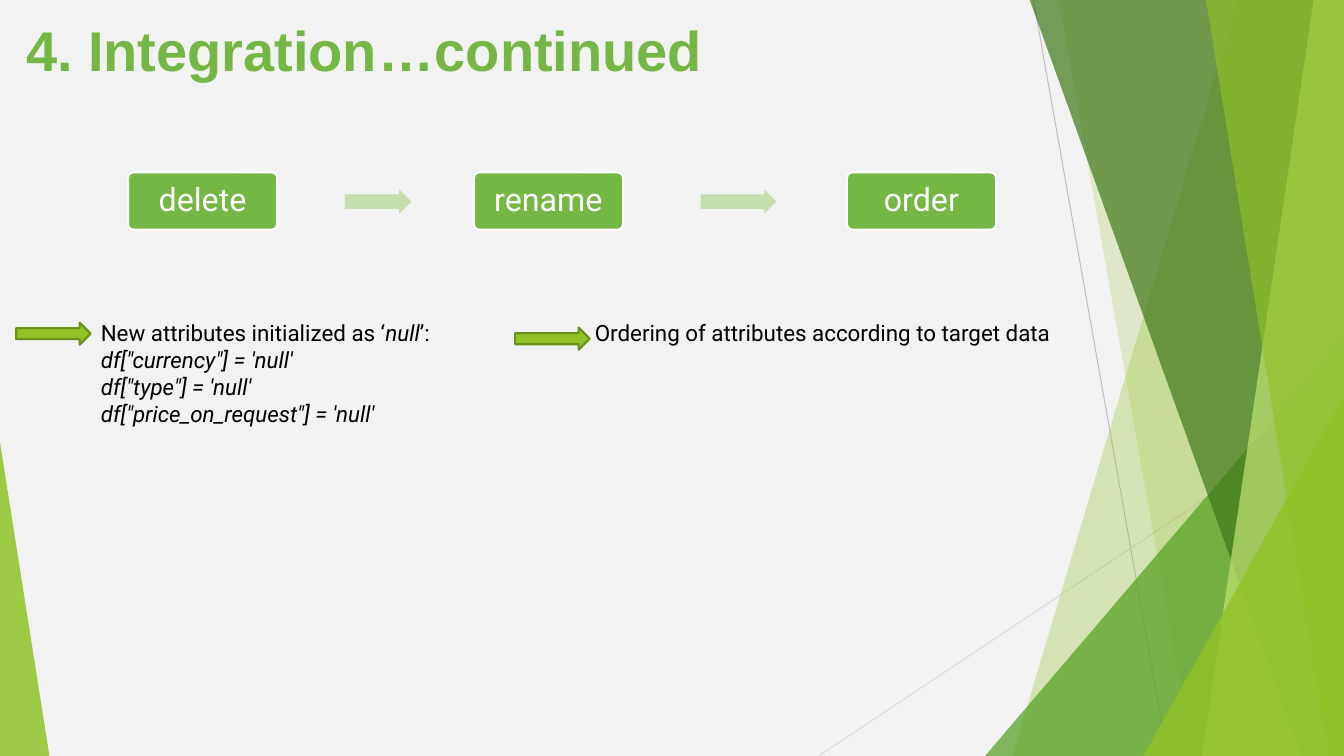
from lxml import etree
from pptx import Presentation
from pptx.dml.color import RGBColor
from pptx.enum.shapes import MSO_CONNECTOR, MSO_SHAPE
from pptx.enum.text import MSO_ANCHOR, PP_ALIGN
from pptx.oxml.ns import qn
from pptx.util import Inches, Pt

STRAIGHT = MSO_CONNECTOR.STRAIGHT
TRIANGLE = MSO_SHAPE.ISOSCELES_TRIANGLE
ROUNDED = MSO_SHAPE.ROUNDED_RECTANGLE
ARROW = MSO_SHAPE.RIGHT_ARROW
MIDDLE = MSO_ANCHOR.MIDDLE
CENTER = PP_ALIGN.CENTER

WIDTH, HEIGHT = 13.33, 7.5
LIME, LEAF = "90C226", "75B744"


def color(value):
    """Turn a hex string into a colour."""
    return RGBColor.from_string(value)


def paint(shape, fill, opacity=100, line=None):
    """Set fill, opacity in percent and an optional 1.5 pt outline."""
    shape.shadow.inherit = False
    shape.fill.solid()
    shape.fill.fore_color.rgb = color(fill)
    if opacity < 100:
        tint = shape.fill._xPr.find(qn("a:solidFill"))[0]
        etree.SubElement(tint, qn("a:alpha"), val=str(opacity * 1000))
    if line:
        shape.line.color.rgb = color(line)
        shape.line.width = Pt(1.5)
    else:
        shape.line.fill.background()


def add_preset(page, kind, box, adjustments=()):
    """Add a preset shape in a box given in inches."""
    shape = page.shapes.add_shape(kind, *map(Inches, box))
    for index, value in enumerate(adjustments):
        shape.adjustments[index] = value
    return shape


def style(para, size, font, fill, bold=False):
    """Format every run of a paragraph."""
    for span in para.runs:
        span.font.size = Pt(size)
        span.font.name = font
        span.font.color.rgb = color(fill)
        span.font.bold = bold


def add_hairline(page, start, end, stroke):
    """Draw a thin line between two points."""
    line = page.shapes.add_connector(STRAIGHT, *map(Inches, start + end))
    line.line.color.rgb = color(stroke)
    line.line.width = Pt(0.75)
    etree.SubElement(line._element.spPr, qn("a:effectLst"))


def add_band(page, top_x, bottom_x, fill, opacity):
    """Draw a slanted band that reaches the right edge of the slide."""
    top = -0.01
    corners = [(WIDTH, top), (WIDTH, HEIGHT), (bottom_x, HEIGHT)]
    builder = page.shapes.build_freeform(Inches(top_x), Inches(top), scale=1.0)
    builder.add_line_segments([tuple(map(Inches, corner)) for corner in corners])
    paint(builder.convert_to_shape(), fill, opacity)


def add_corner(page, width, height, apex, fill, opacity):
    """Draw a triangle in a bottom corner, left for apex 0 and right for 1."""
    box = (apex * (WIDTH - width), HEIGHT - height, width, height)
    paint(add_preset(page, TRIANGLE, box, [apex]), fill, opacity)


def add_facets(page):
    """Draw the decoration along the slide edges."""
    add_hairline(page, (10.25, 0), (11.58, HEIGHT), "BFBFBF")
    add_hairline(page, (WIDTH, 4.03), (8.12, HEIGHT), "D9D9D9")
    add_band(page, 12.28, 10.04, LIME, 30)
    add_band(page, 10.5, 11.83, LIME, 20)
    add_corner(page, 3.56, 4.17, 1, "54A021", 72)
    add_band(page, 10.21, 12.91, "3F7819", 70)
    add_band(page, 13.03, 11.92, "C0E474", 70)
    add_band(page, 11.96, 13.18, LIME, 65)
    add_corner(page, 1.99, 3.57, 1, LIME, 80)
    add_corner(page, 0.49, 3.11, 0, LIME, 85)


def add_title(page, box, text):
    """Write the slide title."""
    frame = page.shapes.add_textbox(*map(Inches, box)).text_frame
    frame.word_wrap = True
    frame.text = text
    style(frame.paragraphs[0], 40, "Arial", LEAF, bold=True)


def add_step(page, box, label):
    """Draw one labelled step of the process."""
    step = add_preset(page, ROUNDED, box, [0.1])
    paint(step, LEAF, line="FFFFFF")
    frame = step.text_frame
    frame.vertical_anchor = MIDDLE
    frame.text = label
    para = frame.paragraphs[0]
    para.alignment = CENTER
    para.line_spacing = 0.9
    style(para, 23, "Roboto", "FFFFFF")


def add_process(page, top):
    """Draw the three steps and the arrows between them."""
    for left, label in ((1.27, "delete"), (4.7, "rename"), (8.4, "order")):
        add_step(page, (left, top, 1.48, 0.57), label)
    for left, width in ((3.42, 0.66), (6.95, 0.75)):
        arrow = add_preset(page, ARROW, (left, top + 0.17, width, 0.24), [0.6, 0.5])
        paint(arrow, "C6DDAD")


def add_note(page, box, arrow_at, lines):
    """Write a note with its arrow; each line lists (text, italic) spans."""
    frame = page.shapes.add_textbox(*map(Inches, box)).text_frame
    frame.word_wrap = True
    frame.margin_left = Inches(0.6)
    for index, spans in enumerate(lines):
        para = frame.add_paragraph() if index else frame.paragraphs[0]
        for text, italic in spans:
            span = para.add_run()
            span.text = text
            span.font.italic = italic
        style(para, 16, "Roboto", "000000")
    arrow = add_preset(page, ARROW, (*arrow_at, 0.74, 0.22))
    paint(arrow, LIME, line="6B901C")


def main():
    """Build the slide and save it."""
    deck = Presentation()
    deck.slide_width, deck.slide_height = Inches(WIDTH), Inches(HEIGHT)
    page = deck.slides.add_slide(deck.slide_layouts[6])
    page.background.fill.solid()
    page.background.fill.fore_color.rgb = color("F2F2F2")

    add_facets(page)
    add_title(page, (0.16, 0.11, 7.94, 0.77), "4. Integration\t…continued")
    add_process(page, 1.71)
    columns = ("currency", "type", "price_on_request")
    null_lines = [[(f"df[\"{name}\"] = 'null'", True)] for name in columns]
    heading = [("New attributes initialized as ‘", False), ("null", True), ("’:", False)]
    add_note(page, (0.4, 3.12, 4.39, 1.48), (0.16, 3.2), [heading] + null_lines)
    ordering = [("Ordering of attributes according to target data", False)]
    add_note(page, (5.3, 3.12, 5.44, 0.67), (5.11, 3.25), [ordering])
    deck.save("out.pptx")


if __name__ == "__main__":
    main()
